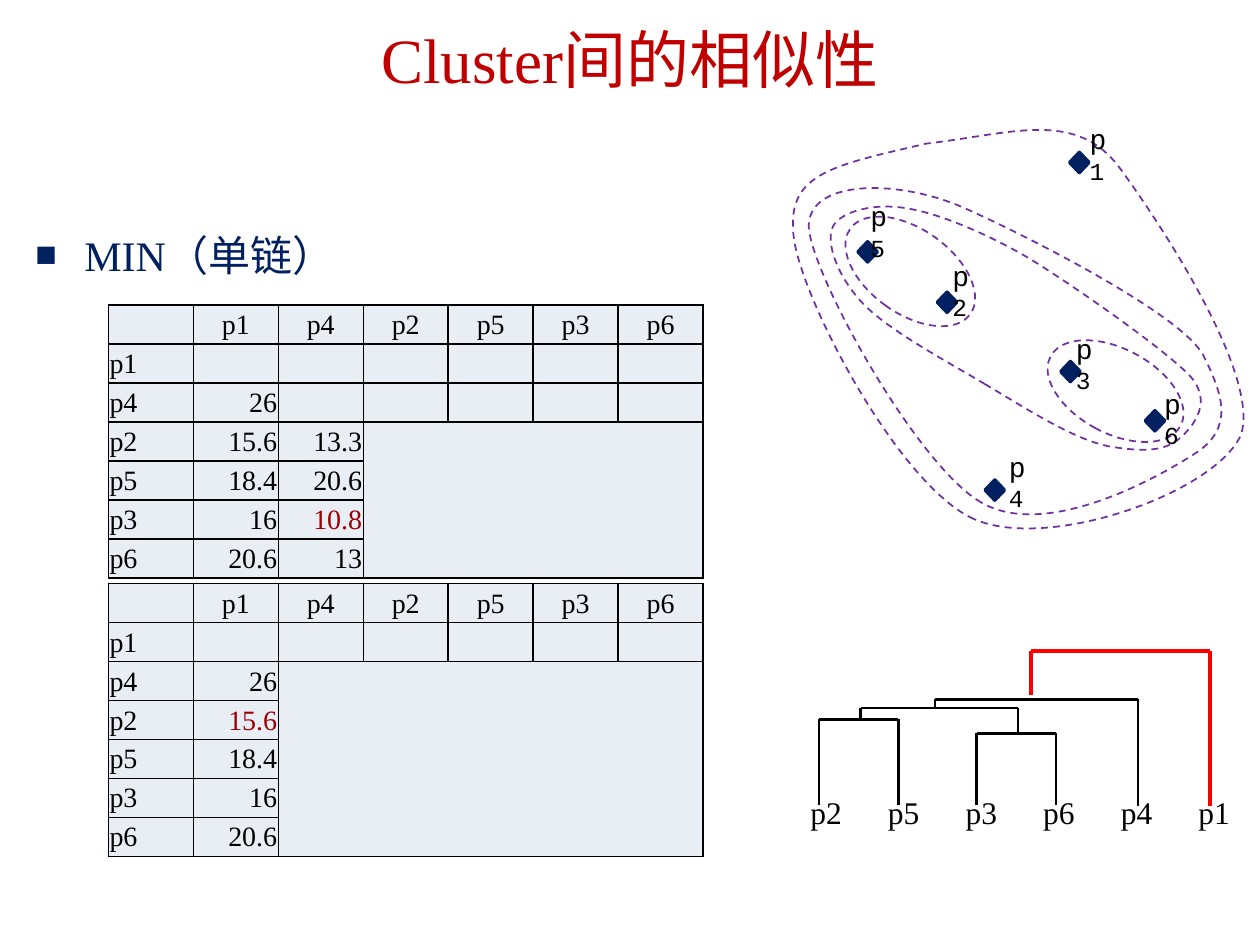
from dataclasses import dataclass

from lxml.etree import SubElement
from pptx import Presentation
from pptx.dml.color import RGBColor
from pptx.enum.dml import MSO_LINE
from pptx.enum.shapes import MSO_CONNECTOR, MSO_SHAPE
from pptx.enum.text import MSO_ANCHOR, MSO_AUTO_SIZE, PP_ALIGN
from pptx.oxml.ns import qn
from pptx.util import Pt


@dataclass(frozen=True)
class Theme:
    """Colours, fonts and type sizes of the slide."""
    title: str = "C00000"
    navy: str = "002060"
    purple: str = "7030A0"
    ink: str = "000000"
    nearest: str = "9C0006"
    merge: str = "FF0000"
    cell: str = "E9EDF4"
    serif: str = "Times New Roman"
    mono: str = "Courier New"
    title_size: int = 36
    body_size: int = 24
    leaf_size: int = 18
    table_size: int = 16
    point_size: int = 16
    index_size: int = 14


THEME = Theme()
NAMES = ["p1", "p4", "p2", "p5", "p3", "p6"]
TO_P1 = ["26", "15.6", "18.4", "16", "20.6"]
TO_P4 = ["13.3", "20.6", "10.8", "13"]
LEAVES = ["p2", "p5", "p3", "p6", "p4", "p1"]

# (left, left foot, top, right, right foot)
BRACKETS = [
    (12, 88, 39, 57.4, 88),
    (102, 88, 47, 147.4, 88),
    (35.8, 38.4, 32.6, 125.8, 46.3),
    (78.2, 32.6, 27.6, 194.2, 88.8),
]
LAST_BRACKET = (133, 25.4, 0.2, 235.2, 88.8)

POINTS = {
    "1": ((161.3, 21.1), (165.6, 0.2)),
    "2": ((85.7, 101), (87.1, 78)),
    "3": ((156.2, 140.6), (157.7, 119.8)),
    "5": ((40.3, 72.2), (40.3, 44.2)),
    "6": ((204.5, 168.7), (208.1, 151.4)),
    "4": ((113, 208.3), (119.5, 187.4)),
}
PAIRS = [(46.1, 47, 305.4), (163.4, 115.4, 298.1)]
LOOPS = [
    [(110.9, 221.3),
     (74.2, 200.4), (14.4, 92.4), (12.2, 64.3),
     (10.8, 36.2), (63.4, 36.2), (100.8, 52.8),
     (138.2, 69.4), (225.4, 114), (237.6, 137),
     (249.1, 160.1), (254.9, 178.1), (234, 192.5),
     (213.1, 206.2), (148.3, 242.9), (110.9, 221.3)],
    [(113, 153.6),
     (90, 139.9), (57.6, 122.6), (43.2, 107.5),
     (28.8, 92.4), (21.6, 73), (25.9, 63.6),
     (30.2, 55), (49.7, 49.2), (70.6, 53.5),
     (90.7, 57.1), (124.6, 72.2), (148.3, 88.1),
     (172.8, 103.9), (214.6, 133.4), (229, 147.8),
     (244.1, 163), (231.8, 178.1), (223.9, 184.6),
     (216, 191.8), (203, 192.5), (182.9, 188.9),
     (162.7, 184.6), (136.1, 167.3), (113, 153.6)],
    [(106.6, 230.6),
     (64.1, 211.9), (7.9, 105.4), (3.6, 69.4),
     (-0.7, 33.4), (23.8, 29), (79.2, 16.1),
     (128.9, 10.3), (165.6, -4.1), (190.8, 31.2),
     (216, 65.8), (270, 149.3), (259.2, 182.4),
     (244.8, 215.5), (149, 249.4), (106.6, 230.6)],
]


def set_font(target, size, color, name=THEME.serif):
    """Format the font of a paragraph or a run."""
    target.font.size = Pt(size)
    target.font.name = name
    target.font.color.rgb = RGBColor.from_string(color)


def set_line(shape, color, width):
    """Give a shape a plain coloured line."""
    shape.line.color.rgb = RGBColor.from_string(color)
    shape.line.width = Pt(width)


def place(shape, left, top, width, height):
    """Move a shape to a box given in points."""
    shape.left, shape.top = Pt(left), Pt(top)
    shape.width, shape.height = Pt(width), Pt(height)


def fill_title(title, box):
    """Place and format the title."""
    place(title, *box)
    frame = title.text_frame
    frame.auto_size = MSO_AUTO_SIZE.NONE
    frame.vertical_anchor = MSO_ANCHOR.MIDDLE
    frame.margin_top = Pt(11.5)
    para = frame.paragraphs[0]
    para.text = "Cluster间的相似性"
    para.alignment = PP_ALIGN.CENTER
    para.line_spacing = 0.9
    set_font(para, THEME.title_size, THEME.title)


def fill_body(body, box):
    """Place and format the bulleted heading."""
    place(body, *box)
    body.text_frame.auto_size = MSO_AUTO_SIZE.NONE
    para = body.text_frame.paragraphs[0]
    para.text = "MIN（单链）"
    properties = para._p.get_or_add_pPr()
    properties.set("marL", str(Pt(28)))
    properties.set("indent", str(-Pt(28)))
    SubElement(properties, qn("a:buSzPct"), val="85000")
    SubElement(properties, qn("a:buChar"), char="■")
    para.line_spacing = 1.3
    para.space_before = Pt(0)
    set_font(para, THEME.body_size, THEME.navy)


def set_borders(cell, sides):
    """Draw the named sides of a cell and clear the others."""
    properties = cell._tc.get_or_add_tcPr()
    for side in "LRTB":
        line = SubElement(properties, qn(f"a:ln{side}"), w=str(Pt(1)))
        if side in sides:
            fill = SubElement(line, qn("a:solidFill"))
            SubElement(fill, qn("a:srgbClr"), val=THEME.ink)
        else:
            SubElement(line, qn("a:noFill"))


def add_distances(page, box, columns, nearest):
    """Add a distance table whose lower right part is left open."""
    count = len(NAMES) + 1
    last, start = count - 1, len(columns) + 1
    table = page.shapes.add_table(count, count, *map(Pt, box)).table
    table.first_row = table.horz_banding = False
    for index in range(count):
        table.columns[index].width = Pt(box[2] / count)
        table.rows[index].height = Pt(box[3] / count)
    texts = {(0, index): name for index, name in enumerate(NAMES, 1)}
    texts |= {(index, 0): name for index, name in enumerate(NAMES, 1)}
    for column, values in enumerate(columns, 1):
        texts |= {(row, column): value for row, value in enumerate(values, column + 1)}
    for row in range(count):
        for column in range(count):
            cell = table.cell(row, column)
            sides = "LRTB"
            if min(row, column) >= start:
                edges = {"L": column == start, "R": column == last,
                         "T": row == start, "B": row == last}
                sides = [side for side, drawn in edges.items() if drawn]
            set_borders(cell, sides)
            cell.fill.solid()
            cell.fill.fore_color.rgb = RGBColor.from_string(THEME.cell)
            cell.vertical_anchor = MSO_ANCHOR.MIDDLE
            cell.margin_left = cell.margin_right = cell.margin_top = Pt(0.7)
            cell.margin_bottom = Pt(0)
            para = cell.text_frame.paragraphs[0]
            para.text = texts.get((row, column), "")
            if row == 0:
                para.alignment = PP_ALIGN.CENTER
            elif column:
                para.alignment = PP_ALIGN.RIGHT
            set_font(para, THEME.table_size, THEME.nearest if para.text == nearest else THEME.ink)


def add_bracket(page, left, top, bracket, color, width):
    """Add the three lines that join two branches."""
    start, start_foot, roof, end, end_foot = bracket
    corners = [(start, start_foot), (start, roof), (end, roof), (end, end_foot)]
    for (x1, y1), (x2, y2) in zip(corners, corners[1:]):
        line = page.shapes.add_connector(
            MSO_CONNECTOR.STRAIGHT, Pt(left + x1), Pt(top + y1), Pt(left + x2), Pt(top + y2))
        set_line(line, color, width)
        SubElement(line._element.spPr, qn("a:effectLst"))


def add_dendrogram(page, left, top):
    """Add the merge tree and its leaf names."""
    for bracket in BRACKETS:
        add_bracket(page, left, top, bracket, THEME.ink, 1.5)
    add_bracket(page, left, top, LAST_BRACKET, THEME.merge, 2.25)
    for index, name in enumerate(LEAVES):
        label = page.shapes.add_textbox(
            Pt(left + 44.35 * index), Pt(top + 77.5), Pt(33.8), Pt(28.8))
        para = label.text_frame.paragraphs[0]
        para.text = name
        set_font(para, THEME.leaf_size, THEME.ink)


def style_outline(shape):
    """Give a cluster boundary its dashed line."""
    shape.shadow.inherit = False
    shape.fill.background()
    set_line(shape, THEME.purple, 1)
    shape.line.dash_style = MSO_LINE.DASH


def add_loop(page, left, top, nodes):
    """Add a closed outline of cubic curves."""
    start, *rest = [(Pt(left + x), Pt(top + y)) for x, y in nodes]
    builder = page.shapes.build_freeform(*start)
    builder.add_line_segments(rest, close=True)
    loop = builder.convert_to_shape()
    segments = list(loop._element.iter(qn("a:lnTo")))
    for first, second, third in zip(*[iter(segments)] * 3):
        first.tag = qn("a:cubicBezTo")
        for segment in (second, third):
            first.append(segment[0])
            segment.getparent().remove(segment)
    style_outline(loop)


def add_clusters(page, left, top):
    """Add the nested clusters and their labelled points."""
    for nodes in LOOPS:
        add_loop(page, left, top, nodes)
    for x, y, angle in PAIRS:
        pair = page.shapes.add_shape(
            MSO_SHAPE.OVAL, Pt(left + x), Pt(top + y), Pt(48.2), Pt(84.2))
        pair.rotation = angle
        style_outline(pair)
    for index, ((x, y), (label_x, label_y)) in POINTS.items():
        marker = page.shapes.add_shape(
            MSO_SHAPE.DIAMOND, Pt(left + x), Pt(top + y), Pt(11), Pt(11.5))
        marker.shadow.inherit = False
        marker.fill.solid()
        marker.fill.fore_color.rgb = RGBColor.from_string(THEME.navy)
        set_line(marker, THEME.navy, 2)
        label = page.shapes.add_textbox(
            Pt(left + label_x), Pt(top + label_y), Pt(31.7), Pt(26.6))
        label.text_frame.word_wrap = True
        para = label.text_frame.paragraphs[0]
        for text, size in (("p", THEME.point_size), (index, THEME.index_size)):
            span = para.add_run()
            span.text = text
            set_font(span, size, THEME.ink, THEME.mono)


def main():
    """Build and save the slide."""
    deck = Presentation()
    deck.slide_width, deck.slide_height = Pt(720), Pt(540)
    page = deck.slides.add_slide(deck.slide_layouts[1])
    fill_title(page.shapes.title, (0, 0, 720, 64))
    fill_body(page.placeholders[1], (13, 118.8, 702, 368.6))
    add_dendrogram(page, 456, 372)
    add_clusters(page, 450, 66)
    add_distances(page, (61.9, 174.2, 340, 156), [TO_P1, TO_P4], "10.8")
    add_distances(page, (61.9, 333.4, 340, 156), [TO_P1], "15.6")
    deck.save("out.pptx")


if __name__ == "__main__":
    main()
